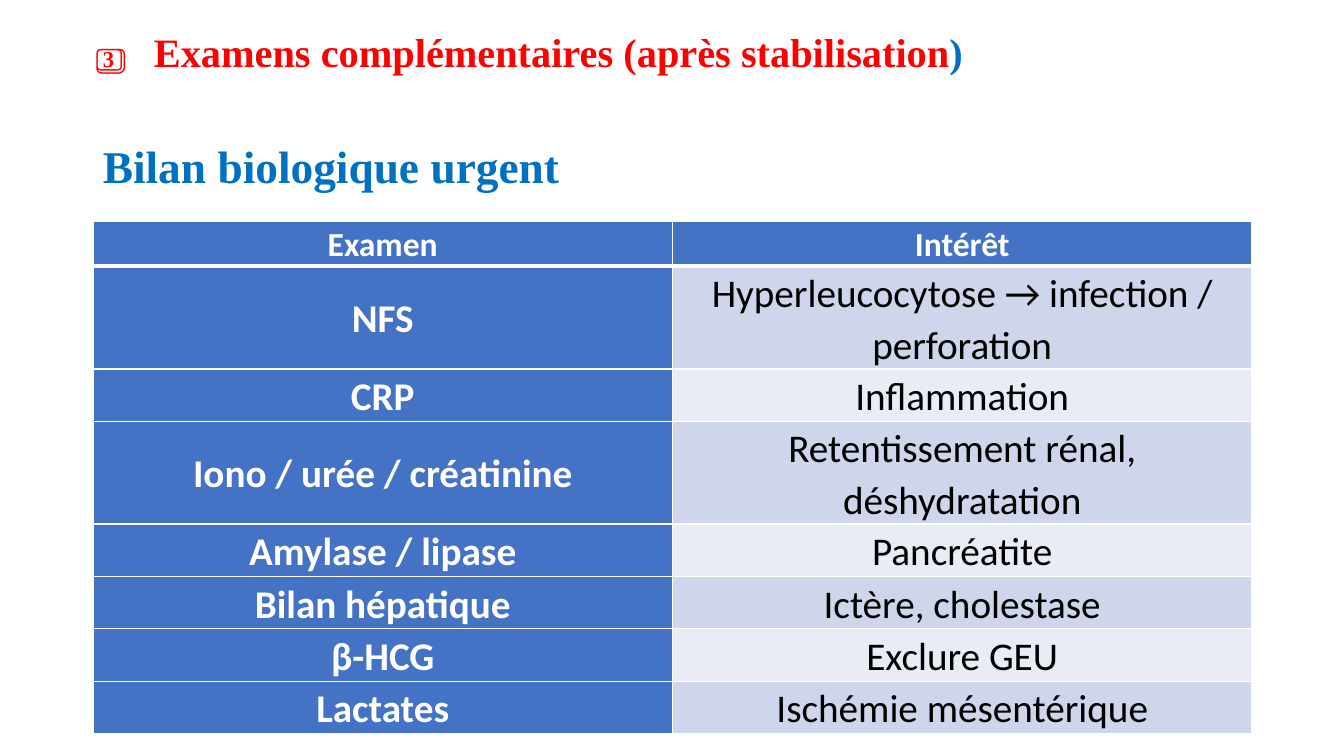
from lxml.etree import SubElement
from pptx import Presentation
from pptx.dml.color import RGBColor
from pptx.enum.text import MSO_ANCHOR as Anchor, PP_ALIGN as Align
from pptx.oxml.ns import qn
from pptx.util import Pt

RED, BLUE, WHITE, BLACK = "FF0000", "0070C0", "FFFFFF", "000000"
HEADER_FILL, BANDS = "4472C4", ("CFD5EA", "E9EBF5")
SERIF = "Times New Roman"

HEADING = [
    [("3️", SERIF, 16.2, RED), ("⃣", "Karla", 16.2, RED),
     ("\tExamens complémentaires (après stabilisation", SERIF, 28.8, RED),
     (")", SERIF, 28.8, BLUE)],
    [("Bilan biologique urgent", SERIF, 32.4, BLUE)],
]
EXAMS = [
    ("Examen", "Intérêt"),
    ("NFS", "Hyperleucocytose → infection / perforation"),
    ("CRP", "Inflammation"),
    ("Iono / urée / créatinine", "Retentissement rénal, déshydratation"),
    ("Amylase / lipase", "Pancréatite"),
    ("Bilan hépatique", "Ictère, cholestase"),
    ("β-HCG", "Exclure GEU"),
    ("Lactates", "Ischémie mésentérique"),
]
SLIDE_WIDTH, SLIDE_HEIGHT = 1344, 756
LEFT, WIDTH = 93, 1159
HEADING_TOP, HEADING_HEIGHT, HEADING_TAB = 40, 146, 51
TABLE_TOP, HEADER_HEIGHT, ROW_HEIGHT = 221, 31, 36


def px(length):
    return round(length * 12192000 / SLIDE_WIDTH)


def color(value):
    return RGBColor.from_string(value)


def style(run, font_name, size, hex_color, bold=True):
    run.font.name = font_name
    run.font.size = Pt(size)
    run.font.bold = bold
    run.font.color.rgb = color(hex_color)


def add_heading(slide):
    box = slide.shapes.add_textbox(px(LEFT), px(HEADING_TOP), px(WIDTH), px(HEADING_HEIGHT))
    frame = box.text_frame
    frame.word_wrap = True
    frame.vertical_anchor = Anchor.MIDDLE
    for index, parts in enumerate(HEADING):
        paragraph = frame.add_paragraph() if index else frame.paragraphs[0]
        paragraph.line_spacing = 0.9
        if index:
            paragraph.space_before = Pt(49)
        else:
            tabs = SubElement(paragraph._p.get_or_add_pPr(), qn("a:tabLst"))
            SubElement(tabs, qn("a:tab"), pos=str(px(HEADING_TAB)), algn="l")
        for text, font_name, size, hex_color in parts:
            run = paragraph.add_run()
            run.text = text
            style(run, font_name, size, hex_color)


def add_borders(cell, row):
    widths = {"L": 1, "R": 1, "T": 3 if row == 1 else 1, "B": 3 if row == 0 else 1}
    for side, width in widths.items():
        line = SubElement(cell._tc.get_or_add_tcPr(), qn(f"a:ln{side}"), w=str(Pt(width)))
        SubElement(SubElement(line, qn("a:solidFill")), qn("a:srgbClr"), val=WHITE)


def fill_cell(cell, row, column, text):
    is_label = row == 0 or column == 0
    add_borders(cell, row)
    cell.fill.solid()
    cell.fill.fore_color.rgb = color(HEADER_FILL if is_label else BANDS[(row - 1) % 2])
    cell.margin_left = cell.margin_right = cell.margin_top = cell.margin_bottom = px(1)
    cell.vertical_anchor = Anchor.MIDDLE
    cell.text_frame.text = text
    paragraph = cell.text_frame.paragraphs[0]
    paragraph.alignment = Align.CENTER
    paragraph.line_spacing = 1.07
    paragraph.space_after = Pt(8)
    style(paragraph.runs[0], "Calibri", 28 if row else 24,
          WHITE if is_label else BLACK, is_label)


def add_exam_table(slide):
    heights = [HEADER_HEIGHT] + [ROW_HEIGHT] * (len(EXAMS) - 1)
    table = slide.shapes.add_table(len(EXAMS), 2, px(LEFT), px(TABLE_TOP),
                                   px(WIDTH), px(sum(heights))).table
    table.first_col = True
    for row, texts in enumerate(EXAMS):
        table.rows[row].height = px(heights[row])
        for column, text in enumerate(texts):
            fill_cell(table.cell(row, column), row, column, text)


def main():
    presentation = Presentation()
    presentation.slide_width = px(SLIDE_WIDTH)
    presentation.slide_height = px(SLIDE_HEIGHT)
    slide = presentation.slides.add_slide(presentation.slide_layouts[6])
    add_heading(slide)
    add_exam_table(slide)
    presentation.save("out.pptx")


if __name__ == "__main__":
    main()
